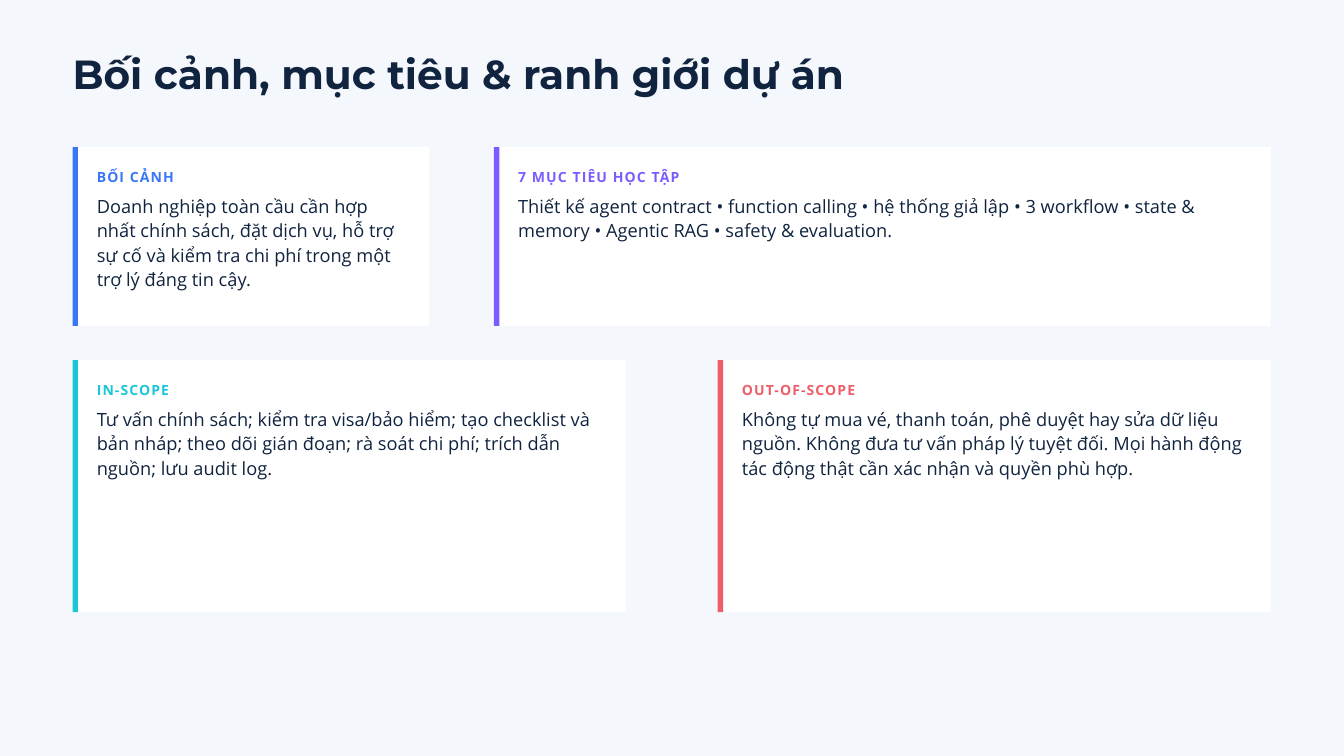
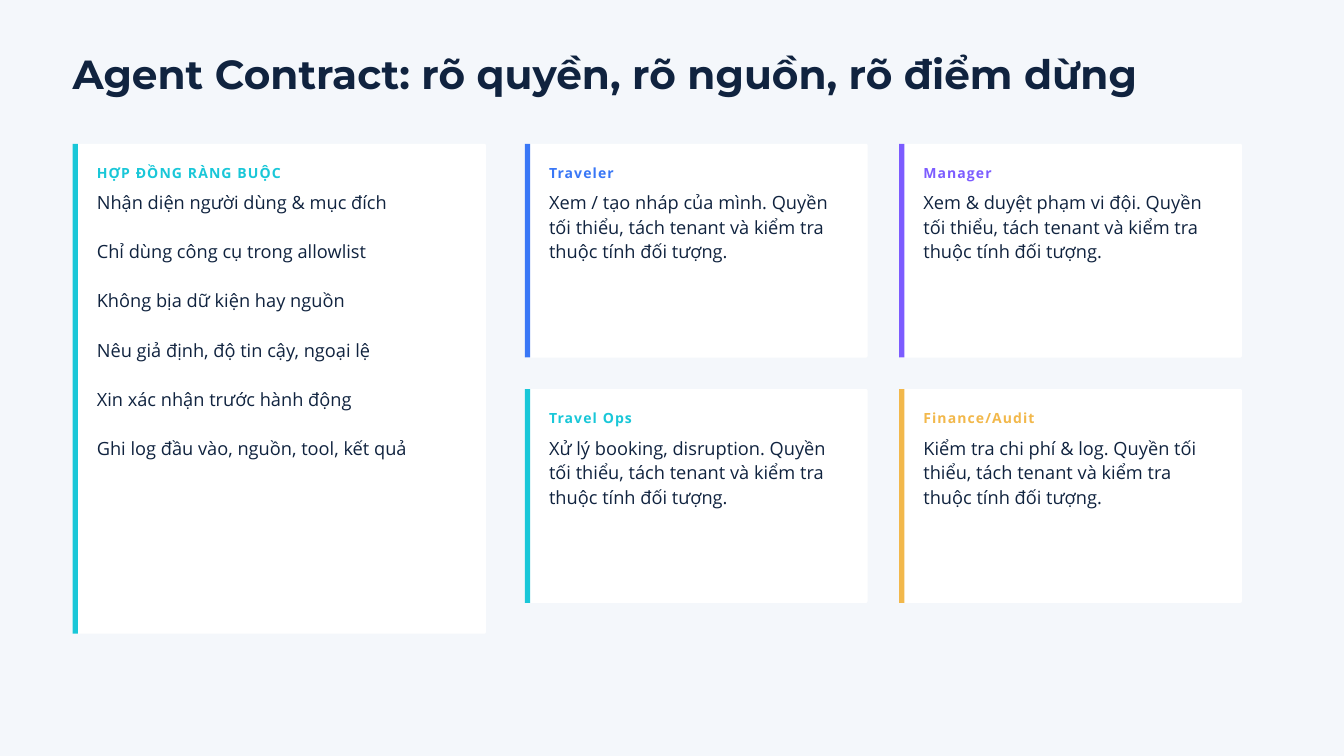
import pptx
import pptx.util
import pptx.dml.color
import pptx.enum.shapes
import pptx.enum.text
import pptx.oxml.ns
from lxml import etree

Inches, Pt = pptx.util.Inches, pptx.util.Pt
SHAPE = pptx.enum.shapes.MSO_SHAPE

# Shared colours, fonts and measures
PAPER, WHITE, NAVY = "F4F7FB", "FFFFFF", "10233F"
BLUE, VIOLET, CYAN, RED, AMBER = "3977F6", "7C5CFF", "19C7D8", "EE5D68", "F2B84B"
HEAD, BODY = "Montserrat", "Open Sans"
LEFT, RIGHT = 1.08, 18.91
BAR, PAD, RADIUS = 0.08, 0.36, 0.02
LEADING = 26.3


def paint(fill, color):
    fill.solid()
    fill.fore_color.rgb = pptx.dml.color.RGBColor.from_string(color)


def write(sp, box, lines, size, leading, font, color, bold=False, tracking=0, is_list=False):
    sp.left, sp.top, sp.width, sp.height = [Inches(v) for v in box]
    tf = sp.text_frame
    tf.word_wrap = True
    tf.auto_size = pptx.enum.text.MSO_AUTO_SIZE.NONE
    tf.vertical_anchor = pptx.enum.text.MSO_ANCHOR.TOP
    tf.margin_left = tf.margin_top = tf.margin_right = tf.margin_bottom = 0
    for i, line in enumerate(lines):
        p = tf.add_paragraph() if i else tf.paragraphs[0]
        if is_list:
            pPr = p._p.get_or_add_pPr()
            pPr.set("marL", "0")
            pPr.set("indent", "0")
            etree.SubElement(pPr, pptx.oxml.ns.qn("a:buNone"))
        p.alignment = pptx.enum.text.PP_ALIGN.LEFT
        p.line_spacing = Pt(leading)
        p.space_before = Pt(leading if i else 0)
        r = p.add_run()
        r.text = line
        r.font.size, r.font.name, r.font.bold = Pt(size), font, bold
        paint(r.font.fill, color)
        if tracking:
            r._r.get_or_add_rPr().set("spc", str(round(tracking * 100)))


prs = pptx.Presentation()
prs.slide_width, prs.slide_height = Inches(20), Inches(11.25)
paint(prs.slide_master.background.fill, PAPER)

# Scope cards: two rows, the right card of each ends at the right margin
ROW1, ROW2 = (2.19, 2.66), (5.36, 3.75)
scope_cards = [
    (LEFT, ROW1[0], 5.31, ROW1[1], BLUE, "BỐI CẢNH",
     ["Doanh nghiệp toàn cầu cần hợp nhất chính sách, đặt dịch vụ, hỗ trợ sự cố "
      "và kiểm tra chi phí trong một trợ lý đáng tin cậy."]),
    (RIGHT - 11.56, ROW1[0], 11.56, ROW1[1], VIOLET, "7 MỤC TIÊU HỌC TẬP",
     ["Thiết kế agent contract • function calling • hệ thống giả lập • 3 workflow • "
      "state & memory • Agentic RAG • safety & evaluation."]),
    (LEFT, ROW2[0], 8.23, ROW2[1], CYAN, "IN-SCOPE",
     ["Tư vấn chính sách; kiểm tra visa/bảo hiểm; tạo checklist và bản nháp; "
      "theo dõi gián đoạn; rà soát chi phí; trích dẫn nguồn; lưu audit log."]),
    (RIGHT - 8.23, ROW2[0], 8.23, ROW2[1], RED, "OUT-OF-SCOPE",
     ["Không tự mua vé, thanh toán, phê duyệt hay sửa dữ liệu nguồn. "
      "Không đưa tư vấn pháp lý tuyệt đối. Mọi hành động tác động thật "
      "cần xác nhận và quyền phù hợp."]),
]

# Contract card with its list of rules, then a 2 x 2 grid of roles
contract_cards = [
    (LEFT, 2.14, 6.15, 7.29, CYAN, "HỢP ĐỒNG RÀNG BUỘC",
     ["Nhận diện người dùng & mục đích",
      "Chỉ dùng công cụ trong allowlist",
      "Không bịa dữ kiện hay nguồn",
      "Nêu giả định, độ tin cậy, ngoại lệ",
      "Xin xác nhận trước hành động",
      "Ghi log đầu vào, nguồn, tool, kết quả"]),
]
roles = [
    ("Traveler", "Xem / tạo nháp của mình.", BLUE),
    ("Manager", "Xem & duyệt phạm vi đội.", VIOLET),
    ("Travel Ops", "Xử lý booking, disruption.", CYAN),
    ("Finance/Audit", "Kiểm tra chi phí & log.", AMBER),
]
ROLE_W, ROLE_H, ROLE_GAP = 5.1, 3.18, 0.47
for i, (role, duty, color) in enumerate(roles):
    row, col = divmod(i, 2)
    contract_cards.append(
        (7.81 + col * (ROLE_W + ROLE_GAP), 2.14 + row * (ROLE_H + ROLE_GAP), ROLE_W, ROLE_H, color, role,
         [duty + " Quyền tối thiểu, tách tenant và kiểm tra thuộc tính đối tượng."]))

TITLE_ONLY, TITLE_AND_BODY = prs.slide_layouts[5], prs.slide_layouts[1]
slides = [
    (TITLE_ONLY, "Bối cảnh, mục tiêu & ranh giới dự án", scope_cards),
    (TITLE_AND_BODY, "Agent Contract: rõ quyền, rõ nguồn, rõ điểm dừng", contract_cards),
]

for layout, title, cards in slides:
    s = prs.slides.add_slide(layout)
    write(s.shapes.title, (LEFT, 0.82, RIGHT - LEFT, 0.65), [title], 43.5, 45.2, HEAD, NAVY, bold=True)

    for x, y, w, h, color, label, lines in cards:
        # White panel and accent bar
        for kind, width, fill in [(SHAPE.ROUNDED_RECTANGLE, w, WHITE), (SHAPE.RECTANGLE, BAR, color)]:
            sp = s.shapes.add_shape(kind, Inches(x), Inches(y), Inches(width), Inches(h))
            sp.shadow.inherit = False
            sp.line.fill.background()
            paint(sp.fill, fill)
            if kind == SHAPE.ROUNDED_RECTANGLE:
                sp.adjustments[0] = RADIUS / min(w, h)

        # Label and text; a list goes into the body placeholder, above its panel
        text_w = w - 2 * PAD
        write(s.shapes.add_textbox(0, 0, 0, 0), (x + PAD, y + 0.27, text_w, 0.27),
              [label], 15, 21, BODY, color, bold=True, tracking=1.2)
        is_list = len(lines) > 1
        if is_list:
            sp = s.placeholders[1]
            s.shapes._spTree.append(sp._element)
        else:
            sp = s.shapes.add_textbox(0, 0, 0, 0)
        write(sp, (x + PAD, y + 0.67, text_w, 4 if is_list else 1.45),
              lines, 19.5, LEADING, BODY, NAVY, is_list=is_list)

prs.save("out.pptx")
